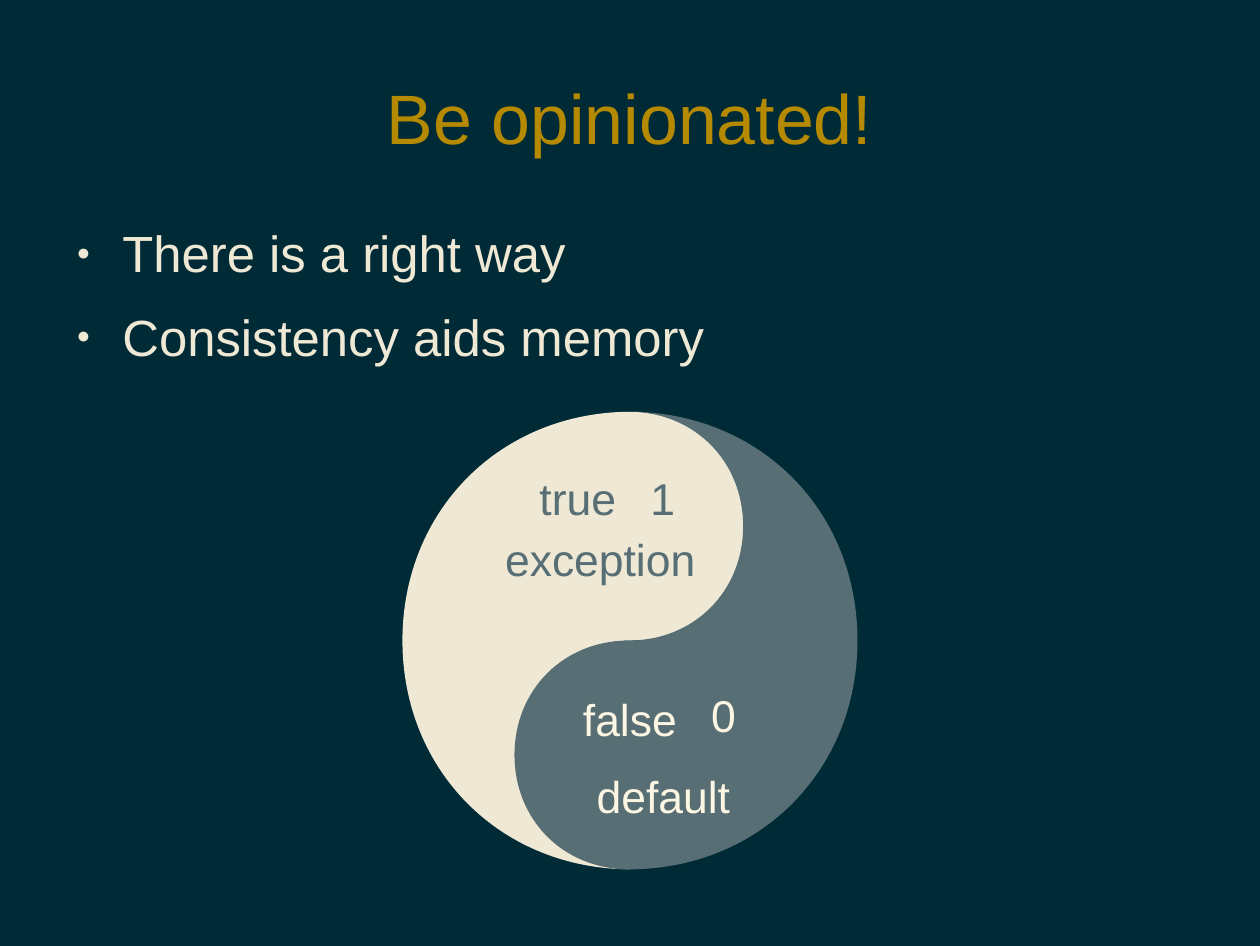
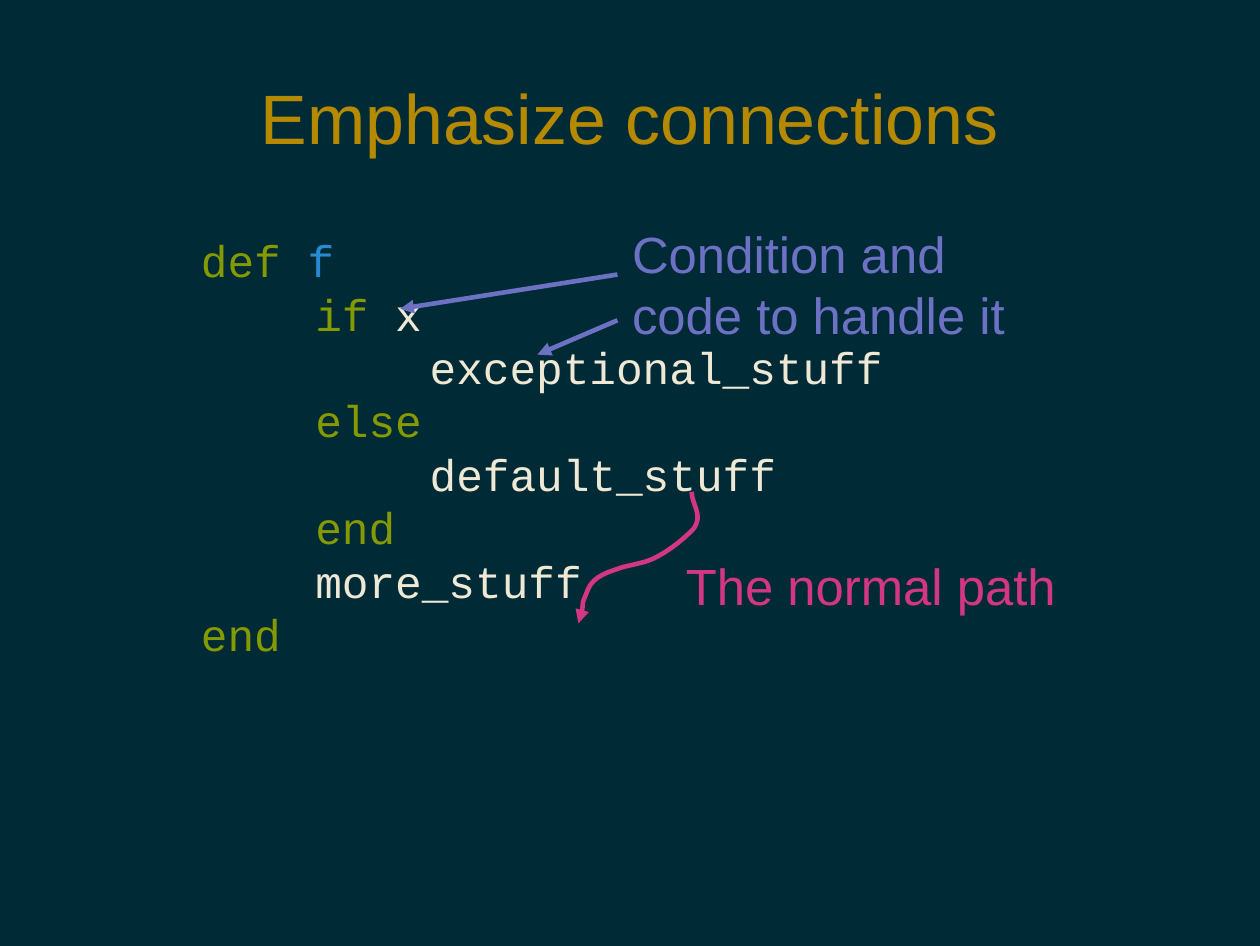
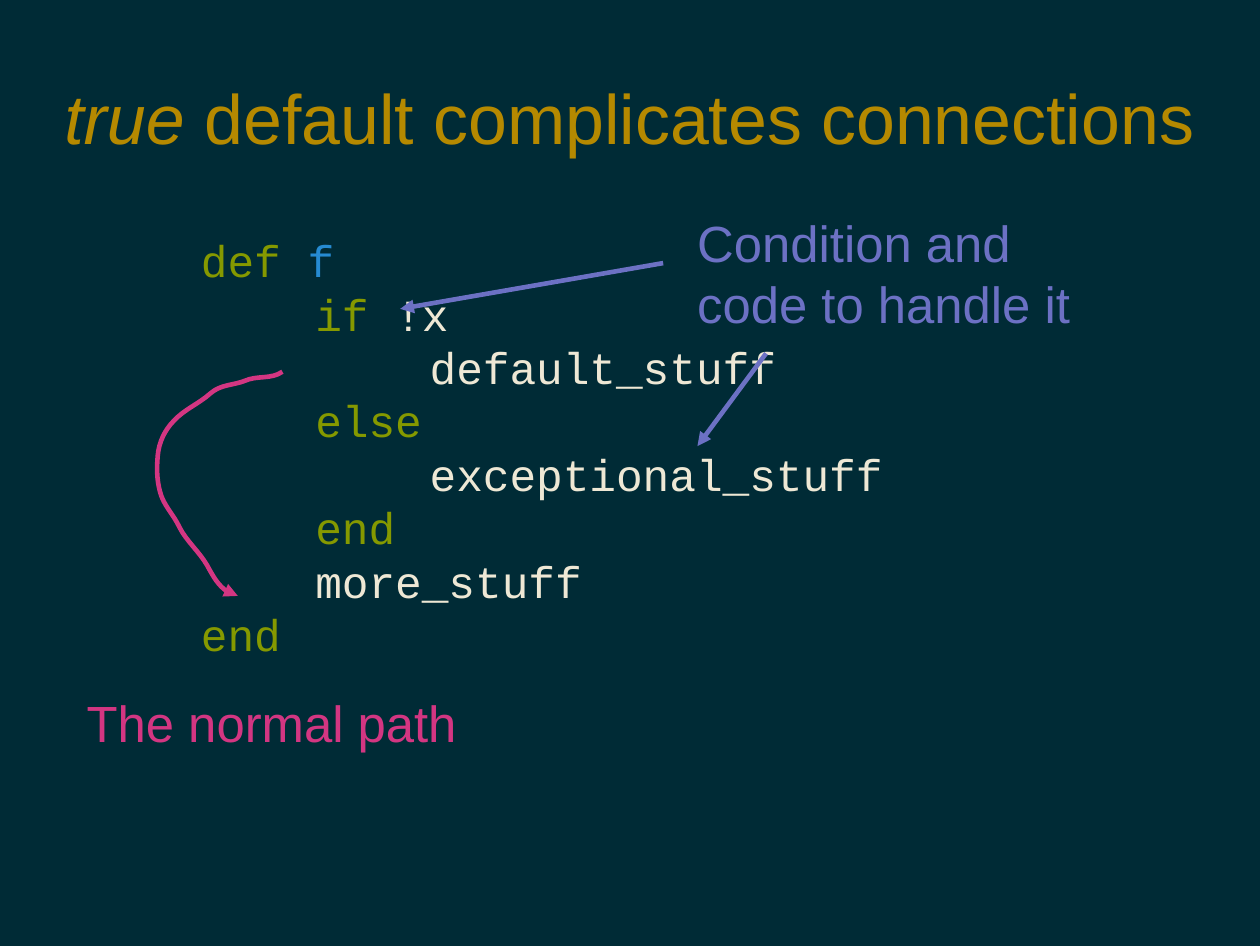
from dataclasses import dataclass

from lxml.etree import SubElement
from pptx import Presentation
from pptx.dml.color import RGBColor
from pptx.enum.shapes import MSO_CONNECTOR as Connector
from pptx.enum.text import MSO_ANCHOR as Anchor
from pptx.enum.text import MSO_AUTO_SIZE as AutoSize
from pptx.enum.text import PP_ALIGN as Align
from pptx.oxml.ns import qn
from pptx.util import Pt

PX = 9144  # EMU in one px, 100 px to the inch
ROUNDNESS = 0.57  # handle length of a quarter circle, as a share of its radius


@dataclass(frozen=True)
class Theme:
    ground: str = "002B36"
    title: str = "B58900"
    light: str = "EEE8D5"
    bright: str = "FDF6E3"
    slate: str = "586E75"
    keyword: str = "859900"
    function: str = "268BD2"
    condition: str = "6C71C4"
    normal: str = "D33682"
    font: str = "Arial"
    code_font: str = "Courier New"
    title_size: int = 44
    body_size: int = 32
    small_size: int = 28
    line_width: float = 2.89


THEME = Theme()


def px(*lengths):
    return [round(length * PX) for length in lengths]


def rgb(colour):
    return RGBColor.from_string(colour)


def write(frame, paras, size, color, font=THEME.font, align=Align.LEFT, after=0):
    """Fill a frame; each para is a string or a list of (text, overrides) spans."""
    for number, spans in enumerate(paras):
        para = frame.paragraphs[0] if number == 0 else frame.add_paragraph()
        para.alignment = align
        para.space_before, para.space_after = Pt(0), Pt(after)
        for text, changes in [(spans, {})] if isinstance(spans, str) else spans:
            span = para.add_run()
            span.text = text
            span.font.name = font
            span.font.size = Pt(size)
            span.font.italic = changes.get("italic", False)
            span.font.color.rgb = rgb(changes.get("color", color))


def add_bullet(para):
    props = para._p.get_or_add_pPr()
    margin, hang = px(52, -40)
    props.set("marL", str(margin))
    props.set("indent", str(hang))
    SubElement(SubElement(props, qn("a:buClr")), qn("a:srgbClr"), val=THEME.light)
    SubElement(props, qn("a:buSzPct"), val="45000")
    SubElement(props, qn("a:buChar"), char="●")


def add_tabs(para, *stops):
    tabs = SubElement(para._p.get_or_add_pPr(), qn("a:tabLst"))
    for stop in px(*stops):
        SubElement(tabs, qn("a:tab"), pos=str(stop), algn="l")


def quarter(start, end, upright):
    """Quarter circle as two handles and an end; upright if it leaves vertically."""
    (x, y), (to_x, to_y) = start, end
    run, rise = ROUNDNESS * (to_x - x), ROUNDNESS * (to_y - y)
    if upright:
        return (x, y + rise), (to_x - run, to_y), end
    return (x + run, y), (to_x, to_y - rise), end


class Slides:
    def __init__(self):
        self.deck = Presentation()
        self.deck.slide_width, self.deck.slide_height = px(1102, 827)
        ground = self.deck.slide_master.background.fill
        ground.solid()
        ground.fore_color.rgb = rgb(THEME.ground)

    def start(self, title, layout="Title Only"):
        self.page = self.deck.slides.add_slide(self.deck.slide_layouts.get_by_name(layout))
        self.shapes = self.page.shapes
        frame = self.placeholder(0, 55, 33, 992, 138)
        frame.vertical_anchor = Anchor.MIDDLE
        write(frame, [title], THEME.title_size, THEME.title, align=Align.CENTER)

    def placeholder(self, index, *place):
        box = self.page.placeholders[index]
        box.left, box.top, box.width, box.height = px(*place)
        frame = box.text_frame
        frame.auto_size = AutoSize.NONE
        frame.margin_left = frame.margin_top = frame.margin_right = frame.margin_bottom = 0
        return frame

    def bullets(self, items):
        frame = self.placeholder(1, 55, 194, 992, 480)
        write(frame, items, THEME.body_size, THEME.light, after=14.1)
        for para in frame.paragraphs:
            add_bullet(para)

    def group(self):
        """Put the elements that follow into one group."""
        self.shapes = self.page.shapes.add_group_shape().shapes

    def text(self, place, paras, wrap=False, **style):
        frame = self.shapes.add_textbox(*px(*place)).text_frame
        frame.word_wrap = wrap
        frame.auto_size = AutoSize.SHAPE_TO_FIT_TEXT
        write(frame, paras, **style)
        return frame

    def outline(self, start, steps, closed):
        """Draw steps of one point (a line) or of two handles and an end (a curve)."""
        builder = self.shapes.build_freeform(*px(*start))
        builder.add_line_segments([px(*step[-1]) for step in steps], close=closed)
        shape = builder.convert_to_shape()
        shape.shadow.inherit = False
        segments = list(shape.element.iter(qn("a:lnTo")))
        for segment, step in zip(segments, steps):
            if len(step) == 3:
                segment.clear()
                segment.tag = qn("a:cubicBezTo")
                for x, y in (px(*point) for point in step):
                    SubElement(segment, qn("a:pt"), x=str(x - shape.left), y=str(y - shape.top))
        return shape

    def point_line(self, shape, color):
        """Style a line and give it an arrowhead."""
        shape.line.color.rgb = rgb(color)
        shape.line.width = Pt(THEME.line_width)
        line = shape.element.spPr.find(qn("a:ln"))
        SubElement(line, qn("a:tailEnd"), type="triangle")

    def arrow(self, start, end, color):
        line = self.shapes.add_connector(Connector.STRAIGHT, *px(*start, *end))
        self.point_line(line, color)
        SubElement(line.element.spPr, qn("a:effectLst"))

    def curved_arrow(self, start, steps, color):
        shape = self.outline(start, steps, closed=False)
        shape.fill.background()
        self.point_line(shape, color)

    def code(self, condition, first, second):
        keyword, plain = {"color": THEME.keyword}, {"color": THEME.light}
        rows = [[("def ", keyword), ("f", {"color": THEME.function})],
                [("\tif", keyword), (" " + condition, plain)],
                [("\t\t" + first, plain)],
                [("\t", plain), ("else", keyword)],
                [("\t\t" + second, plain)],
                [("\t", plain), ("end", keyword)],
                [("\tmore_stuff", plain)],
                [("end", keyword)]]
        frame = self.text((166, 199, 770, 480), rows, wrap=True, size=THEME.small_size,
                          color=THEME.light, font=THEME.code_font)
        for para in frame.paragraphs:
            add_tabs(para, 100, 200)

    def condition_label(self, left, top):
        self.text((left, top, 347, 110), ["Condition and", "code to handle it"],
                  size=THEME.body_size, color=THEME.condition)

    def normal_label(self, left, top):
        self.text((left, top, 344, 60), ["The normal path"],
                  size=THEME.body_size, color=THEME.normal)

    def half_disc(self, cx, cy, radius, color):
        """Draw the left half of a yin-yang; a negative radius gives the right half."""
        lobe = radius / 2
        corners = [(cx + x, cy + y) for x, y in (
            (-lobe, lobe), (0, radius), (-radius, 0), (0, -radius),
            (lobe, -lobe), (0, 0), (-lobe, lobe))]
        steps = [quarter(start, end, upright=number % 2 == 0)
                 for number, (start, end) in enumerate(zip(corners, corners[1:]))]
        shape = self.outline(corners[0], steps, closed=True)
        shape.fill.solid()
        shape.fill.fore_color.rgb = rgb(color)
        shape.line.fill.background()


def opinion_slide(slides):
    slides.start("Be opinionated!", "Title and Content")
    slides.bullets(["There is a right way", "Consistency aids memory"])
    slides.group()
    slides.half_disc(552, 560, 200, THEME.light)
    slides.half_disc(550, 560, -200, THEME.slate)
    for word, left, top, width, color in (
            ("true", 462, 407, 87, THEME.slate),
            ("false", 500, 600, 102, THEME.bright),
            ("1", 559, 407, 41, THEME.slate),
            ("exception", 432, 460, 187, THEME.slate),
            ("0", 612, 597, 41, THEME.bright),
            ("default", 512, 667, 137, THEME.bright)):
        slides.text((left, top, width, 53), [word], size=THEME.small_size, color=color)


def connections_slide(slides):
    slides.start("Emphasize connections")
    slides.code("x", "exceptional_stuff", "default_stuff")
    slides.curved_arrow((605, 430), [
        ((605, 441), (616, 451), (606, 463)),
        ((597, 472), (587, 480), (576, 486)),
        ((566, 492), (555, 493), (544, 496)),
        ((533, 500), (519, 503), (514, 516)),
        ((510, 526),),
        ((509, 536),),
        ((506, 545),),
    ], THEME.normal)
    slides.normal_label(590, 480)
    slides.arrow((540, 240), (350, 270), THEME.condition)
    slides.condition_label(543, 190)
    slides.arrow((540, 280), (470, 310), THEME.condition)


def true_default_slide(slides):
    slides.start([("true ", {"italic": True}), ("default complicates connections", {})])
    slides.code("!x", "default_stuff", "exceptional_stuff")
    slides.normal_label(66, 600)
    slides.arrow((580, 230), (350, 270), THEME.condition)
    slides.condition_label(600, 180)
    slides.arrow((670, 309), (610, 390), THEME.condition)
    slides.curved_arrow((247, 325), [
        ((237, 332), (225, 328), (214, 333)),
        ((204, 337), (193, 336), (184, 344)),
        ((174, 353), (161, 358), (152, 368)),
        ((144, 376), (139, 387), (138, 398)),
        ((137, 409), (137, 419), (140, 430)),
        ((143, 442), (152, 450), (157, 461)),
        ((163, 473), (174, 482), (181, 494)),
        ((187, 505), (194, 517), (206, 521)),
        ((208, 521),),
    ], THEME.normal)


def main():
    slides = Slides()
    opinion_slide(slides)
    connections_slide(slides)
    true_default_slide(slides)
    slides.deck.save("out.pptx")


if __name__ == "__main__":
    main()
